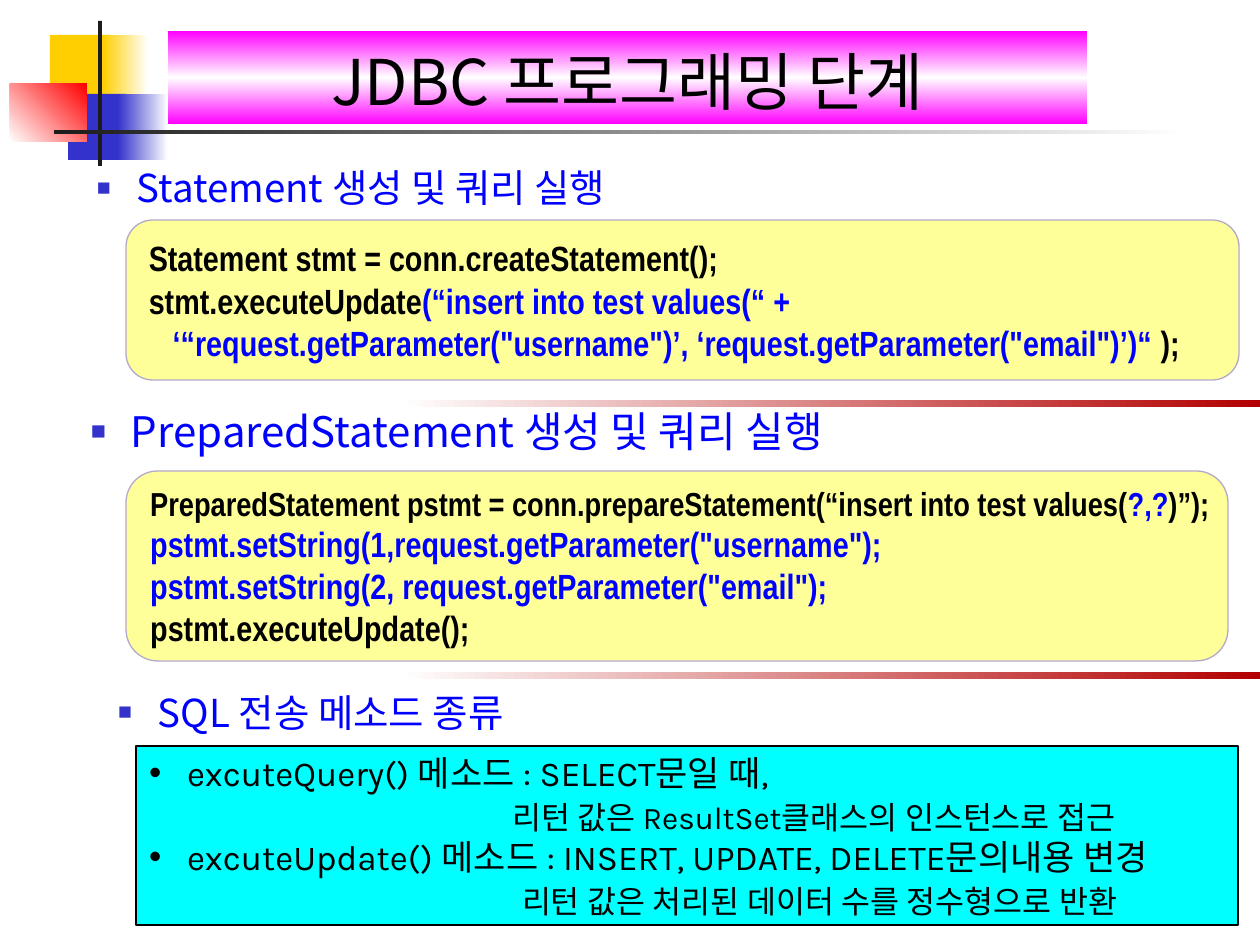
from lxml.etree import SubElement
from pptx import Presentation
from pptx.dml.color import RGBColor
from pptx.enum.shapes import MSO_SHAPE
from pptx.enum.text import MSO_ANCHOR, PP_ALIGN
from pptx.oxml.ns import qn
from pptx.util import Pt

EMU_PER_PX = 914400 / 126
COLORS = {
    "black": "000000", "white": "FFFFFF", "ink": "1C1C1C", "gold": "FFCF01",
    "indigo": "3333CC", "red": "FF0000", "crimson": "B20000", "magenta": "FF00FF",
    "blue": "0000FF", "cream": "FFFF99", "lilac": "B4A8CA", "cyan": "00FFFF",
}
KOREAN, CODE, LIST = "Noto Sans CJK KR", "Arial Narrow", "Karla"


def px(length):
    return round(length * EMU_PER_PX)


def rgb(name):
    return RGBColor.from_string(COLORS[name])


def set_all(target, values):
    for name, value in values.items():
        setattr(target, name, value)


def add_block(slide, box, fill, angle=0, line=None, preset=MSO_SHAPE.RECTANGLE):
    """Add a shape; a tuple of colours as fill is an even gradient at a clockwise angle."""
    block = slide.shapes.add_shape(preset, *map(px, box))
    block.shadow.inherit = False
    if isinstance(fill, tuple):
        block.fill.gradient()
        block.fill.gradient_angle = (360 - angle) % 360
        stops = block.fill._xPr.find(qn("a:gradFill")).find(qn("a:gsLst"))
        for stop in list(stops):
            stops.remove(stop)
        for i, name in enumerate(fill):
            stop = SubElement(stops, qn("a:gs"), pos=str(100000 * i // (len(fill) - 1)))
            SubElement(stop, qn("a:srgbClr"), val=COLORS[name])
    else:
        block.fill.solid()
        block.fill.fore_color.rgb = rgb(fill)
    if line:
        block.line.color.rgb = rgb(line)
        block.line.width = Pt(0.75)
    else:
        block.line.fill.background()
    return block


def set_frame(frame, anchor, wrap=True, left=13):
    set_all(frame, {
        "vertical_anchor": anchor, "word_wrap": wrap,
        "margin_left": px(left), "margin_right": px(13),
        "margin_top": px(6), "margin_bottom": px(6),
    })


def add_paragraph(frame, first, align=PP_ALIGN.LEFT):
    paragraph = frame.paragraphs[0] if first else frame.add_paragraph()
    paragraph.alignment = align
    return paragraph


def add_run(paragraph, text, font, size, color, bold=False):
    run = paragraph.add_run()
    run.text = text
    set_all(run.font, {"name": font, "size": Pt(size), "bold": bold})
    run.font.color.rgb = rgb(color)
    SubElement(run.font._element, qn("a:ea"), typeface=font)


def indent(paragraph, left, hanging=0):
    properties = paragraph._p.get_or_add_pPr()
    properties.set("marL", str(px(left)))
    properties.set("indent", str(-px(hanging)))
    return properties


def add_bullet(paragraph, char, color, percent, hanging):
    properties = indent(paragraph, hanging, hanging)
    SubElement(SubElement(properties, qn("a:buClr")), qn("a:srgbClr"), val=COLORS[color])
    SubElement(properties, qn("a:buSzPct"), val=str(percent * 1000))
    SubElement(properties, qn("a:buFont"), typeface="Arial")
    SubElement(properties, qn("a:buChar"), char=char)


def add_ornament(slide, left, top):
    parts = [
        ((40, 14, 61, 66), "gold", 0),
        ((93, 14, 45, 66), ("gold", "white"), 0),
        ((58, 73, 58, 66), "indigo", 0),
        ((108, 73, 50, 66), ("indigo", "white"), 0),
        ((0, 63, 77, 58), ("white", "red"), 315),
        ((88, 0, 4, 145), "ink", 0),
        ((44, 109, 1134, 4), ("ink", "white"), 0),
    ]
    for (x, y, width, height), fill, angle in parts:
        add_block(slide, (left + x, top + y, width, height), fill, angle)


def add_title(slide, box, text):
    banner = add_block(slide, box, ("magenta", "white", "magenta"), 90)
    set_frame(banner.text_frame, MSO_ANCHOR.BOTTOM)
    add_run(add_paragraph(banner.text_frame, True, PP_ALIGN.CENTER), text, KOREAN, 36, "black")


def add_heading(slide, box, text, size):
    frame = slide.shapes.add_textbox(*map(px, box)).text_frame
    set_frame(frame, MSO_ANCHOR.TOP)
    paragraph = add_paragraph(frame, True)
    add_bullet(paragraph, "■", "indigo", 60, 40)
    add_run(paragraph, text, KOREAN, size, "blue")


def add_code(slide, box, lines):
    """Each line is a size and its (text, colour) pieces."""
    panel = add_block(slide, box, "cream", line="lilac",
                      preset=MSO_SHAPE.FLOWCHART_ALTERNATE_PROCESS)
    set_frame(panel.text_frame, MSO_ANCHOR.MIDDLE, wrap=False, left=15)
    for i, (size, pieces) in enumerate(lines):
        paragraph = add_paragraph(panel.text_frame, i == 0)
        for text, color in pieces:
            add_run(paragraph, text, CODE, size, color, bold=True)


def add_methods(slide, box, methods):
    """Each method is its bulleted text, its result, and the indent of the result."""
    panel = add_block(slide, box, "cyan", line="black")
    set_frame(panel.text_frame, MSO_ANCHOR.MIDDLE)
    for i, (call, result, result_left) in enumerate(methods):
        paragraph = add_paragraph(panel.text_frame, i == 0)
        add_bullet(paragraph, "•", "black", 100, 38)
        add_run(paragraph, call, LIST, 20, "black")
        paragraph = add_paragraph(panel.text_frame, False)
        indent(paragraph, result_left)
        paragraph.space_before = Pt(2.4)
        add_run(paragraph, result, LIST, 18, "black")


def main():
    deck = Presentation()
    set_all(deck, {"slide_width": px(1260), "slide_height": px(945)})
    slide = deck.slides.add_slide(deck.slide_layouts[6])

    add_ornament(slide, 10, 21)
    add_title(slide, (168, 31, 919, 93), "JDBC 프로그래밍 단계")
    for divider_top in (400, 672):
        add_block(slide, (400, divider_top, 860, 7), ("white", "crimson"))

    add_heading(slide, (84, 158, 1150, 73), "Statement 생성 및 쿼리 실행", 22)
    add_code(slide, (126, 220, 1113, 160), [
        (20, [("Statement stmt = conn.createStatement();", "black")]),
        (20, [("stmt.executeUpdate", "black"), ("(“insert into test values(“ +", "blue")]),
        (20, [("   ‘“request.getParameter(\"username\")’, "
               "‘request.getParameter(\"email\")’)“ ", "blue"), (");", "black")]),
    ])

    add_heading(slide, (78, 400, 1150, 73), "PreparedStatement 생성 및 쿼리 실행", 24)
    add_code(slide, (126, 471, 1102, 190), [
        (19, [("PreparedStatement pstmt = conn.prepareStatement(“insert into test values(",
               "black"), ("?,?", "blue"), (")”);", "black")]),
        (20, [("pstmt.setString(1,request.getParameter(\"username\");", "blue")]),
        (20, [("pstmt.setString(2, request.getParameter(\"email\");", "blue")]),
        (20, [("pstmt.executeUpdate();", "black")]),
    ])

    add_heading(slide, (105, 683, 1150, 53), "SQL 전송 메소드 종류", 22)
    add_methods(slide, (136, 746, 1102, 179), [
        ("excuteQuery() 메소드 : SELECT문일 때,",
         "리턴 값은 ResultSet클래스의 인스턴스로 접근", 363),
        ("excuteUpdate() 메소드 : INSERT, UPDATE, DELETE문의내용 변경",
         "리턴 값은 처리된 데이터 수를 정수형으로 반환", 373),
    ])
    deck.save("out.pptx")


if __name__ == "__main__":
    main()
